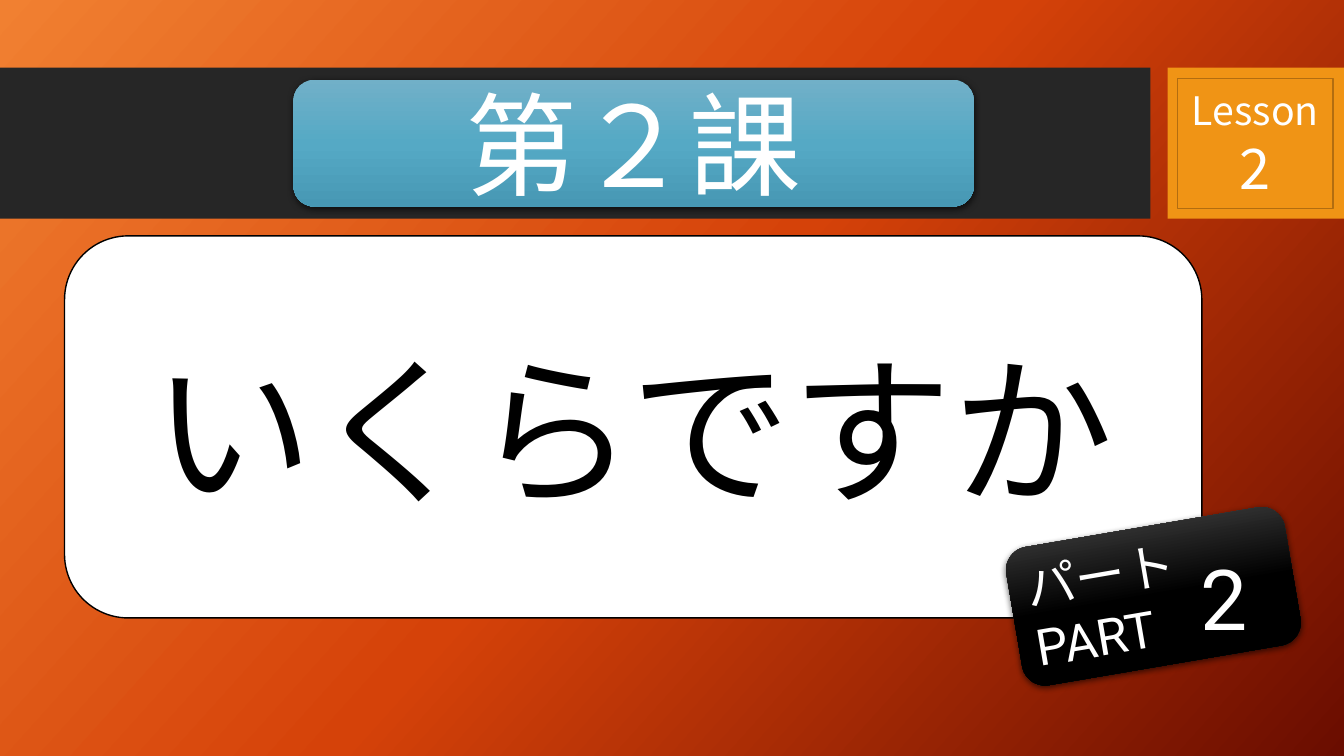
import pptx
import pptx.dml.color
import pptx.enum.shapes
import pptx.enum.text
import pptx.oxml
import pptx.oxml.ns
import pptx.util
from lxml import etree

W, H = 13.33, 7.5
CJK, LATIN = "Noto Sans CJK JP", "Roboto"
WHITE, BLACK, ORANGE = "FFFFFF", "000000", "F09415"
BACKGROUND = ["F18031", "D54209", "6A0D00"]
BACKGROUND_ANGLE = 42

# Header band: both blocks share top and height
BAND_TOP, BAND_H = 0.67, 1.5
BAND_W, TAB_W = 11.41, 1.75

# Each text is a list of paragraphs, each a list of (words, size) runs
SHAPES = [
    dict(box=(0, BAND_TOP, BAND_W, BAND_H), fill="262626"),
    dict(box=(W - TAB_W, BAND_TOP, TAB_W, BAND_H), fill=ORANGE),
    # Lesson title
    dict(box=(2.91, 0.79, 6.75, 1.26), rounded=True, shadow=True,
         fill=["71B0C8", "55A9C5", "4798B4"],
         text=[[("第２課", 80)]], font=CJK),
    # Topic card
    dict(box=(0.64, 2.34, 11.28, 3.79), rounded=True, fill=WHITE, line=BLACK,
         text=[[("いくらですか", 115)]], font=CJK, color=BLACK),
    # Tilted part label and its number
    dict(box=(10.04, 5.22, 2.8, 1.39), rounded=True, shadow=True, rotation=350.3,
         fill=["4D4D4D", BLACK, BLACK],
         text=[[("パート", 36)], [("PART", 36)]], font=LATIN, align="LEFT"),
    dict(box=(11.68, 5.46, 0.92, 0.92), rounded=True,
         text=[[("2", 60)]], font=LATIN),
    # Lesson number
    dict(box=(11.68, 0.78, 1.54, 1.29), fill=ORANGE, line="B26D10",
         text=[[("Lesson ", 28), ("2", 40)]], font=CJK),
]

SHADOW = (
    '<a:effectLst xmlns:a="http://schemas.openxmlformats.org/drawingml/2006/main">'
    '<a:outerShdw blurRad="57150" dist="19050" dir="5400000" algn="ctr" rotWithShape="0">'
    '<a:srgbClr val="000000"><a:alpha val="63000"/></a:srgbClr>'
    '</a:outerShdw></a:effectLst>'
)


def rgb(value):
    return pptx.dml.color.RGBColor.from_string(value)


def set_gradient(fill, element, colors, angle):
    """Spread the colours evenly; the angle runs clockwise."""
    fill.gradient()
    fill.gradient_angle = 360 - angle
    stops = element.find(".//" + pptx.oxml.ns.qn("a:gsLst"))
    for stop in list(stops):
        stops.remove(stop)
    for i, color in enumerate(colors):
        position = str(100000 * i // (len(colors) - 1))
        stop = etree.SubElement(stops, pptx.oxml.ns.qn("a:gs"), pos=position)
        etree.SubElement(stop, pptx.oxml.ns.qn("a:srgbClr"), val=color)


def write_text(sp, paragraphs, font, color=WHITE, align="CENTER"):
    tf = sp.text_frame
    tf.word_wrap = True
    tf.vertical_anchor = pptx.enum.text.MSO_ANCHOR.MIDDLE
    for i, runs in enumerate(paragraphs):
        p = tf.add_paragraph() if i else tf.paragraphs[0]
        p.alignment = pptx.enum.text.PP_ALIGN[align]
        p.font.name = font
        p.font.color.rgb = rgb(color)
        p.font.size = pptx.util.Pt(runs[0][1])
        for words, size in runs:
            r = p.add_run()
            r.text = words
            r.font.size = pptx.util.Pt(size)
            r.font.name = font
            r.font.color.rgb = rgb(color)
            # East Asian glyphs take their own typeface
            latin = r.font._element.find(pptx.oxml.ns.qn("a:latin"))
            ea = etree.Element(pptx.oxml.ns.qn("a:ea"), typeface=CJK)
            latin.addnext(ea)


def add_block(s, box, fill=None, line=None, rounded=False, shadow=False,
              rotation=0, text=None, **style):
    kinds = pptx.enum.shapes.MSO_SHAPE
    kind = kinds.ROUNDED_RECTANGLE if rounded else kinds.RECTANGLE
    sp = s.shapes.add_shape(kind, *map(pptx.util.Inches, box))
    sp.rotation = rotation
    if isinstance(fill, list):
        set_gradient(sp.fill, sp._element, fill, 90)
    elif fill:
        sp.fill.solid()
        sp.fill.fore_color.rgb = rgb(fill)
    else:
        sp.fill.background()
    if line:
        sp.line.color.rgb = rgb(line)
        sp.line.width = pptx.util.Pt(1)
    else:
        sp.line.fill.background()
    if shadow:
        sp._element.spPr.append(pptx.oxml.parse_xml(SHADOW))
    else:
        sp.shadow.inherit = False
    if text:
        write_text(sp, text, **style)


def main():
    prs = pptx.Presentation()
    prs.slide_width = pptx.util.Inches(W)
    prs.slide_height = pptx.util.Inches(H)
    s = prs.slides.add_slide(prs.slide_layouts[6])
    set_gradient(s.background.fill, s._element, BACKGROUND, BACKGROUND_ANGLE)
    for block in SHAPES:
        add_block(s, **block)
    prs.save("out.pptx")


if __name__ == "__main__":
    main()
